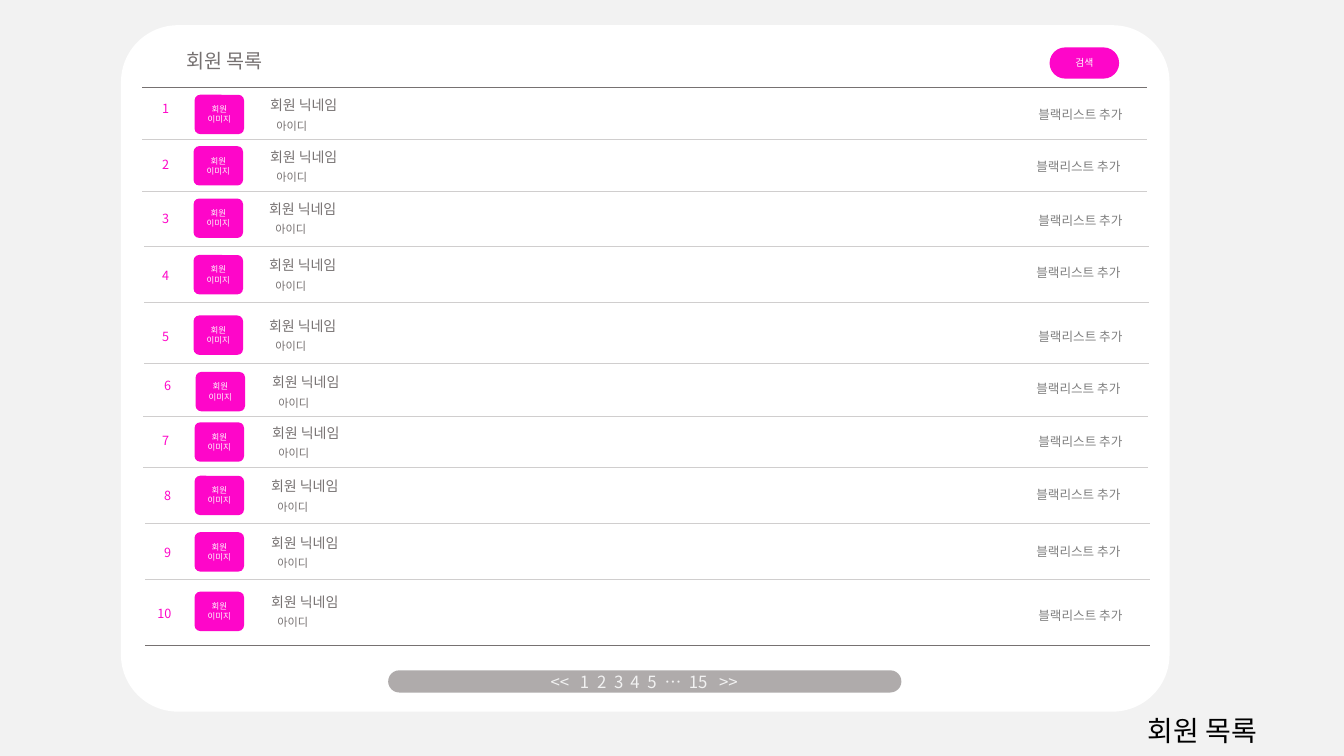
from typing import NamedTuple

from lxml.etree import SubElement
from pptx import Presentation
from pptx.dml.color import RGBColor
from pptx.enum.shapes import MSO_CONNECTOR as Conn, MSO_SHAPE as Shp
from pptx.enum.text import MSO_ANCHOR as Anchor, MSO_AUTO_SIZE as Fit, PP_ALIGN as Align
from pptx.oxml.ns import qn
from pptx.util import Inches, Pt

FONT = "Noto Sans CJK KR"
COLORS = {
    "page": "F2F2F2", "card": "FFFFFF", "pink": "FE06C9", "text": "767171",
    "action": "808080", "divider": "D0CECE", "pager": "AFABAB", "black": "000000",
}
LINE_LENGTH = 9.97
PAGER_ITEMS = ["<<", "1", "2", "3", "4", "5", "…", "15", ">>"]
PAGER_TABS = [0.29, 0.46, 0.63, 0.79, 0.96, 1.13, 1.37, 1.67]


class Box(NamedTuple):
    x: float
    y: float
    w: float
    h: float


class Style(NamedTuple):
    size: float
    color: str
    align: Align = Align.CENTER


class Member(NamedTuple):
    number_x: float
    number_y: float
    badge_x: float
    badge_y: float
    name_x: float
    action_x: float
    action_y: float
    line_x: float
    line_y: float


STYLES = {
    "title": Style(14, "text"),
    "caption": Style(20, "black"),
    "number": Style(9, "pink"),
    "badge": Style(6, "card"),
    "name": Style(10, "text", Align.LEFT),
    "id": Style(8, "text"),
    "action": Style(9, "action", Align.LEFT),
    "search": Style(7, "card"),
    "pager": Style(12, "page", Align.LEFT),
}

MEMBERS = [
    Member(1.51, 0.95, 1.93, 0.94, 2.58, 10.2, 1.01, 1.41, 1.38),
    Member(1.51, 1.51, 1.92, 1.45, 2.58, 10.18, 1.53, 1.41, 1.9),
    Member(1.51, 2.04, 1.92, 1.97, 2.57, 10.2, 2.06, 1.43, 2.44),
    Member(1.51, 2.61, 1.92, 2.53, 2.57, 10.18, 2.58, 1.43, 3),
    Member(1.51, 3.21, 1.92, 3.13, 2.57, 10.2, 3.21, 1.43, 3.6),
    Member(1.53, 3.7, 1.94, 3.69, 2.6, 10.18, 3.73, 1.42, 4.13),
    Member(1.51, 4.25, 1.93, 4.19, 2.6, 10.2, 4.26, 1.42, 4.64),
    Member(1.53, 4.79, 1.93, 4.72, 2.59, 10.18, 4.78, 1.44, 5.19),
    Member(1.53, 5.36, 1.93, 5.28, 2.59, 10.18, 5.35, 1.44, 5.75),
    Member(1.44, 5.96, 1.93, 5.87, 2.59, 10.2, 5.98, 1.44, 6.4),
]


def rgb(name: str) -> RGBColor:
    return RGBColor.from_string(COLORS[name])


def write(s, text: str, style: Style, **frame) -> None:
    """Put one styled run in a shape; frame holds text frame attributes."""
    tf = s.text_frame
    for key, value in {"word_wrap": True, **frame}.items():
        setattr(tf, key, value)
    p = tf.paragraphs[0]
    p.alignment = style.align
    r = p.add_run()
    r.text = text
    for key, value in {"size": Pt(style.size), "name": FONT}.items():
        setattr(r.font, key, value)
    r.font.color.rgb = rgb(style.color)
    SubElement(r.font._element, qn("a:ea"), typeface=FONT)


def add_label(slide, box: Box, text: str, style: str, **frame) -> None:
    s = slide.shapes.add_textbox(*map(Inches, box))
    write(s, text, STYLES[style], auto_size=Fit.SHAPE_TO_FIT_TEXT, **frame)


def add_panel(slide, box: Box, fill: str, corner: float):
    """Add a borderless rounded rectangle."""
    s = slide.shapes.add_shape(Shp.ROUNDED_RECTANGLE, *map(Inches, box))
    s.adjustments[0] = corner
    s.shadow.inherit = False
    s.fill.solid()
    s.fill.fore_color.rgb = rgb(fill)
    s.line.fill.background()
    return s


def add_rule(slide, x: float, y: float, color: str) -> None:
    """Add a thin horizontal line across the list."""
    ends = map(Inches, (x, y, x + LINE_LENGTH, y))
    s = slide.shapes.add_connector(Conn.STRAIGHT, *ends)
    s.line.color.rgb = rgb(color)
    s.line.width = Pt(0.5)
    SubElement(s._element.spPr, qn("a:effectLst"))


def add_member(slide, number: int, m: Member) -> None:
    number_w = 0.23 if number < 10 else 0.38
    add_label(slide, Box(m.number_x, m.number_y, number_w, 0.25), str(number), "number")
    badge = add_panel(slide, Box(m.badge_x, m.badge_y, 0.49, 0.39), "pink", 0.142)
    write(badge, "회원 이미지", STYLES["badge"], vertical_anchor=Anchor.MIDDLE)
    add_label(slide, Box(m.name_x, m.badge_y - 0.03, 1.1, 0.27), "회원 닉네임", "name")
    add_label(slide, Box(m.name_x - 0.02, m.badge_y + 0.19, 0.67, 0.24), "아이디", "id")
    add_label(slide, Box(m.action_x, m.action_y, 1.2, 0.25), "블랙리스트 추가", "action")
    add_rule(slide, m.line_x, m.line_y, "text" if number == len(MEMBERS) else "divider")


def add_pager(slide) -> None:
    s = add_panel(slide, Box(3.85, 6.65, 5.09, 0.22), "pager", 0.5)
    write(s, "\t".join(PAGER_ITEMS), STYLES["pager"], vertical_anchor=Anchor.MIDDLE,
          margin_left=Inches(1.58), margin_right=0)
    p_pr = s.text_frame.paragraphs[0]._p.get_or_add_pPr()
    tabs = SubElement(p_pr, qn("a:tabLst"))
    for stop in PAGER_TABS:
        SubElement(tabs, qn("a:tab"), pos=str(Inches(stop)), algn="l")


def main() -> None:
    prs = Presentation()
    prs.slide_width, prs.slide_height = Inches(13.33), Inches(7.5)
    slide = prs.slides.add_slide(prs.slide_layouts[6])
    slide.background.fill.solid()
    slide.background.fill.fore_color.rgb = rgb("page")

    add_panel(slide, Box(1.2, 0.25, 10.4, 6.81), "card", 0.083)
    add_rule(slide, 1.41, 0.87, "text")
    add_label(slide, Box(1.33, 0.44, 1.8, 0.34), "회원 목록", "title")
    add_label(slide, Box(10.41, 7.03, 3.21, 0.44), "회원 목록", "caption",
              margin_right=Inches(0.28))
    for number, member in enumerate(MEMBERS, 1):
        add_member(slide, number, member)
    add_pager(slide)
    search = add_panel(slide, Box(10.41, 0.47, 0.69, 0.31), "pink", 0.5)
    write(search, "검색", STYLES["search"], vertical_anchor=Anchor.MIDDLE)
    prs.save("out.pptx")


if __name__ == "__main__":
    main()
